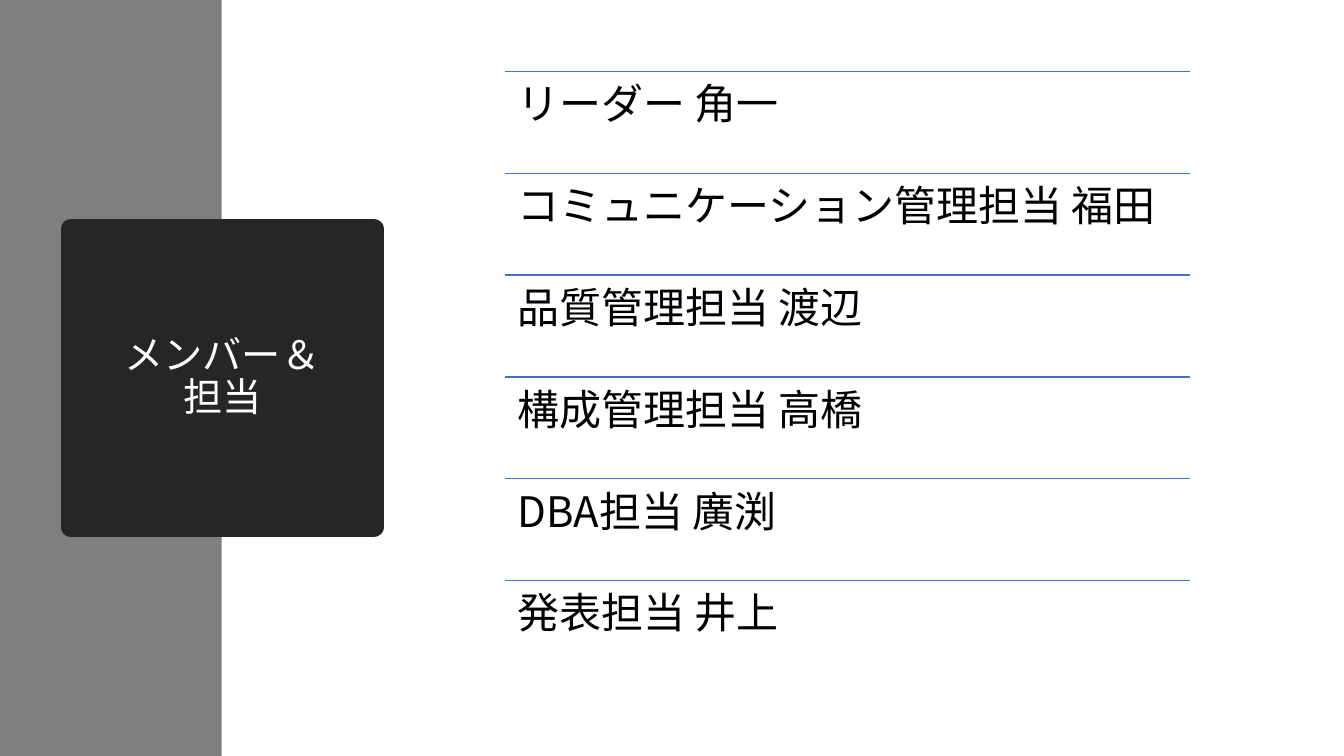
"""Build the slide that lists team members and their duties."""
from dataclasses import dataclass

from lxml.etree import SubElement
from pptx import Presentation
from pptx.dml.color import RGBColor
from pptx.enum.shapes import MSO_CONNECTOR, MSO_SHAPE
from pptx.enum.text import MSO_ANCHOR, MSO_AUTO_SIZE, PP_ALIGN
from pptx.oxml.ns import qn
from pptx.util import Inches, Pt

FONT = "Noto Sans CJK JP"
WIDTH, HEIGHT = Inches(13.33), Inches(7.5)
LIST_LEFT, LIST_TOP = Inches(5.01), Inches(0.71)
LIST_WIDTH, ROW_HEIGHT = Inches(6.79), Inches(1.01)


@dataclass(frozen=True)
class Member:
    duty: str
    name: str


MEMBERS = [
    Member("リーダー", "角一"),
    Member("コミュニケーション管理担当", "福田"),
    Member("品質管理担当", "渡辺"),
    Member("構成管理担当", "高橋"),
    Member("DBA担当", "廣渕"),
    Member("発表担当", "井上"),
]


def colour(value: str) -> RGBColor:
    return RGBColor.from_string(value)


def write(shape, text: str, *, size: float, ink: str, align=PP_ALIGN.LEFT,
          anchor=MSO_ANCHOR.TOP, inset: float = 0.1, after: float = 0) -> None:
    frame = shape.text_frame
    frame.word_wrap = True
    frame.auto_size = MSO_AUTO_SIZE.NONE
    frame.vertical_anchor = anchor
    frame.margin_left = frame.margin_right = Inches(inset)
    frame.margin_top = frame.margin_bottom = Inches(inset)
    frame.text = text
    for para in frame.paragraphs:
        para.alignment = align
        para.line_spacing = 0.9
        para.space_after = Pt(after)
        for span in para.runs:
            span.font.name = FONT
            span.font.size = Pt(size)
            span.font.color.rgb = colour(ink)
            east_asian = SubElement(span.font._element, qn("a:ea"))
            east_asian.set("typeface", FONT)


def add_band(page) -> None:
    band = page.shapes.add_shape(MSO_SHAPE.RECTANGLE, 0, 0, Inches(2.2), HEIGHT)
    band.shadow.inherit = False
    band.fill.solid()
    band.fill.fore_color.rgb = colour("7F7F7F")
    band.line.fill.background()
    page.shapes.title.element.addprevious(band.element)


def format_title(page, text: str) -> None:
    title = page.shapes.title
    title.left, title.top = Inches(0.7), Inches(2.27)
    title.width, title.height = Inches(3.01), Inches(2.96)
    title.fill.solid()
    title.fill.fore_color.rgb = colour("262626")
    title.line.color.rgb = colour("262626")
    title.line.width = Pt(13.75)
    write(title, text, size=28, ink="FFFFFF", align=PP_ALIGN.CENTER,
          anchor=MSO_ANCHOR.MIDDLE)


def add_member(group, row: int, member: Member) -> None:
    top = LIST_TOP + row * ROW_HEIGHT
    rule = group.shapes.add_connector(
        MSO_CONNECTOR.STRAIGHT, LIST_LEFT, top, LIST_LEFT + LIST_WIDTH, top)
    rule.line.color.rgb = colour("4472C4")
    rule.line.width = Pt(1)
    SubElement(rule.element.spPr, qn("a:effectLst"))
    box = group.shapes.add_textbox(LIST_LEFT, top, LIST_WIDTH, ROW_HEIGHT)
    write(box, f"{member.duty} {member.name}", size=30, ink="000000",
          inset=0.12, after=10.5)


def main() -> None:
    deck = Presentation()
    deck.slide_width, deck.slide_height = WIDTH, HEIGHT
    page = deck.slides.add_slide(deck.slide_layouts[5])
    add_band(page)
    format_title(page, "メンバー&\v担当".replace("&", "＆"))
    group = page.shapes.add_group_shape()
    for row, member in enumerate(MEMBERS):
        add_member(group, row, member)
    deck.save("out.pptx")


main()
